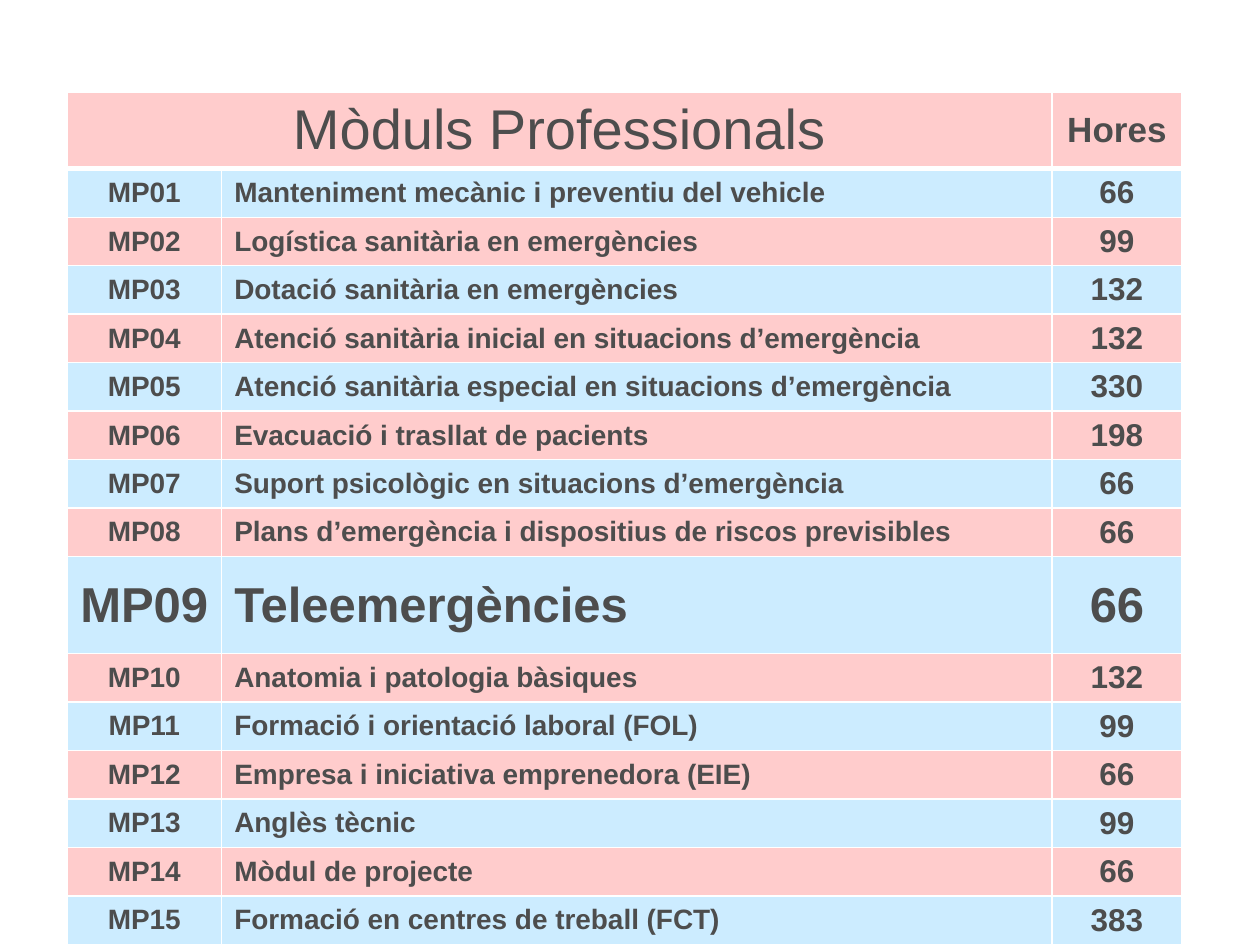
from lxml import etree
from pptx import Presentation
from pptx.dml.color import RGBColor
from pptx.enum.text import MSO_ANCHOR, PP_ALIGN
from pptx.oxml.ns import qn
from pptx.util import Inches, Pt

LEFT, CENTER = PP_ALIGN.LEFT, PP_ALIGN.CENTER
MIDDLE = MSO_ANCHOR.MIDDLE

WHITE = RGBColor(0xFF, 0xFF, 0xFF)
GRAY = RGBColor(0x4D, 0x4D, 0x4D)
PINK = RGBColor(0xFF, 0xCC, 0xCC)
BLUE = RGBColor(0xCC, 0xEC, 0xFF)

COLUMN_WIDTHS = (1.23, 6.59, 1.03)
HEADER_HEIGHT = 0.61
FEATURED_HEIGHT = 0.77
ROW_HEIGHT = FEATURED_HEIGHT / 2
FEATURED_CODE = "MP09"

MODULES = (
    ("MP01", "Manteniment mecànic i preventiu del vehicle", "66"),
    ("MP02", "Logística sanitària en emergències", "99"),
    ("MP03", "Dotació sanitària en emergències", "132"),
    ("MP04", "Atenció sanitària inicial en situacions d’emergència", "132"),
    ("MP05", "Atenció sanitària especial en situacions d’emergència", "330"),
    ("MP06", "Evacuació i trasllat de pacients", "198"),
    ("MP07", "Suport psicològic en situacions d’emergència", "66"),
    ("MP08", "Plans d’emergència i dispositius de riscos previsibles", "66"),
    ("MP09", "Teleemergències", "66"),
    ("MP10", "Anatomia i patologia bàsiques", "132"),
    ("MP11", "Formació i orientació laboral (FOL)", "99"),
    ("MP12", "Empresa i iniciativa emprenedora (EIE)", "66"),
    ("MP13", "Anglès tècnic", "99"),
    ("MP14", "Mòdul de projecte", "66"),
    ("MP15", "Formació en centres de treball (FCT)", "383"),
)


def write_text(frame, text, *, size, font, color, bold=True, align=LEFT):
    para = frame.paragraphs[0]
    para.alignment = align
    span = para.add_run()
    span.text = text
    span.font.name = font
    span.font.size = Pt(size)
    span.font.bold = bold
    span.font.color.rgb = color


class SlideBuilder:
    def __init__(self, page, font="Arial", text_color=GRAY, border_color=WHITE):
        self.page = page
        self.font = font
        self.text_color = text_color
        self.border_color = border_color

    def table(self, left, top, widths, heights):
        frame = self.page.shapes.add_table(
            len(heights), len(widths), Inches(left), Inches(top),
            Inches(sum(widths)), Inches(sum(heights)))
        table = frame.table
        for column, width in zip(table.columns, widths):
            column.width = Inches(width)
        for row, height in zip(table.rows, heights):
            row.height = Inches(height)
        return table

    def borders(self, cell, top=1, bottom=1):
        """Draw the cell's edges; call before filling, as the schema orders it."""
        properties = cell._tc.get_or_add_tcPr()
        for side, points in (("L", 1), ("R", 1), ("T", top), ("B", bottom)):
            line = etree.SubElement(properties, qn(f"a:ln{side}"), w=str(Pt(points)))
            fill = etree.SubElement(line, qn("a:solidFill"))
            etree.SubElement(fill, qn("a:srgbClr"), val=str(self.border_color))

    def cell(self, cell, text, fill, top=1, bottom=1, **text_format):
        self.borders(cell, top, bottom)
        cell.fill.solid()
        cell.fill.fore_color.rgb = fill
        cell.vertical_anchor = MIDDLE
        if text:
            write_text(cell.text_frame, text, font=self.font,
                       color=self.text_color, **text_format)


def add_modules_table(builder):
    heights = [HEADER_HEIGHT] + [
        FEATURED_HEIGHT if code == FEATURED_CODE else ROW_HEIGHT
        for code, _, _ in MODULES]
    table = builder.table(0.53, 0.73, COLUMN_WIDTHS, heights)

    table.cell(0, 0).merge(table.cell(0, 1))
    headings = (("Mòduls Professionals", 32, False), ("", 32, False), ("Hores", 20, True))
    for column, (text, size, bold) in enumerate(headings):
        builder.cell(table.cell(0, column), text, PINK, bottom=3,
                     size=size, bold=bold, align=CENTER)

    for row, module in enumerate(MODULES, start=1):
        sizes = (28, 28, 28) if module[0] == FEATURED_CODE else (16, 16, 18)
        fill = BLUE if row % 2 else PINK
        for column, (text, size) in enumerate(zip(module, sizes)):
            builder.cell(table.cell(row, column), text, fill, top=3 if row == 1 else 1,
                         size=size, align=LEFT if column == 1 else CENTER)


def main():
    deck = Presentation()
    deck.slide_width, deck.slide_height = Inches(10), Inches(7.5)
    page = deck.slides.add_slide(deck.slide_layouts[6])
    add_modules_table(SlideBuilder(page))
    deck.save("out.pptx")


if __name__ == "__main__":
    main()
